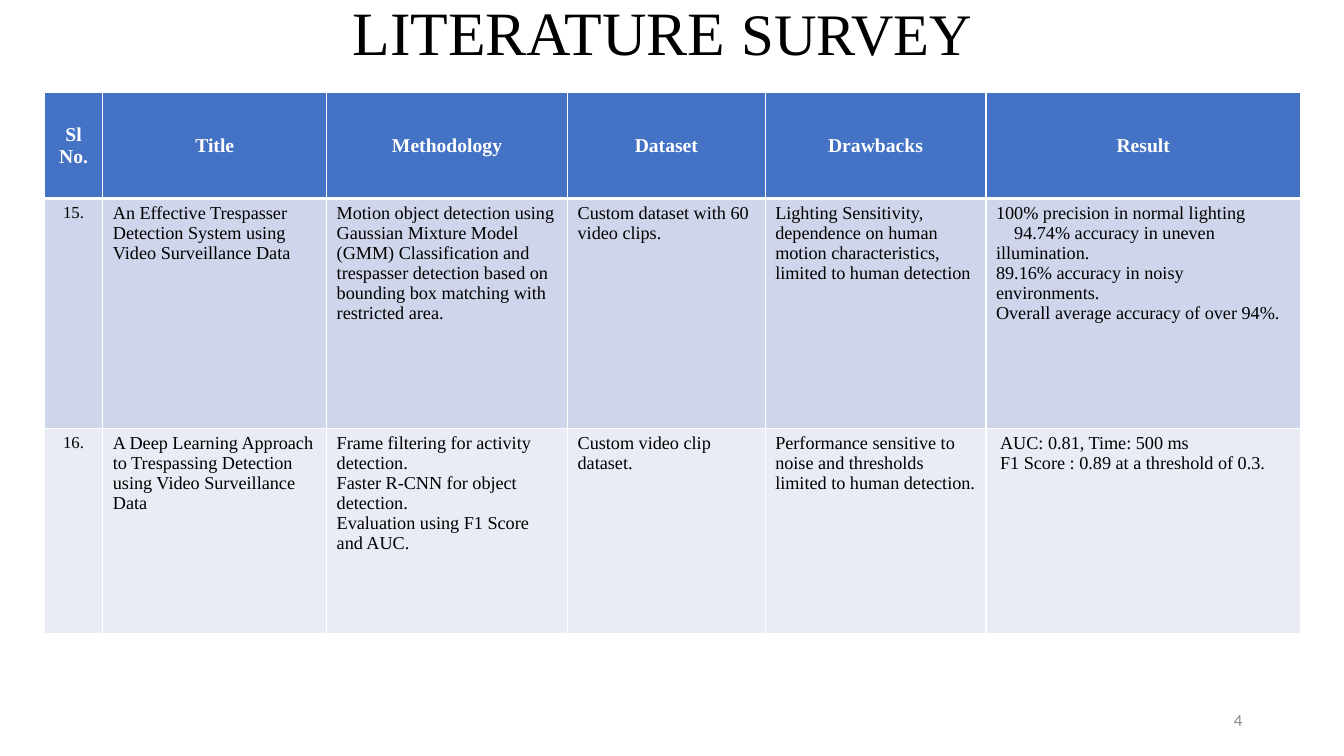
from lxml import etree
from pptx import Presentation
from pptx import util as u
from pptx.dml.color import RGBColor
from pptx.enum import text
from pptx.oxml import ns

BLACK = RGBColor(0x00, 0x00, 0x00)
WHITE = RGBColor(0xFF, 0xFF, 0xFF)
GRAY = RGBColor(0x8C, 0x8C, 0x8C)
BLUE = RGBColor(0x44, 0x72, 0xC4)
BANDS = [RGBColor(0xCF, 0xD5, 0xEA), RGBColor(0xE9, 0xEB, 0xF5)]

LEFT, CENTER, RIGHT = text.PP_ALIGN.LEFT, text.PP_ALIGN.CENTER, text.PP_ALIGN.RIGHT
TOP, MIDDLE = text.MSO_ANCHOR.TOP, text.MSO_ANCHOR.MIDDLE

COLUMNS = [0.58, 2.22, 2.39, 1.96, 2.19, 3.12]
ROWS = [1.05, 2.28, 2.04]
HEADERS = ["Sl No.", "Title", "Methodology", "Dataset", "Drawbacks", "Result"]
PAPERS = [
    [
        ["15."],
        ["An Effective Trespasser Detection System using Video Surveillance Data"],
        ["Motion object detection using Gaussian Mixture Model (GMM) Classification and "
         "trespasser detection based on bounding box matching with restricted area."],
        ["Custom dataset with 60 video clips."],
        ["Lighting Sensitivity, dependence on human motion characteristics, "
         "limited to human detection"],
        ["100% precision in normal lighting",
         "94.74% accuracy in uneven illumination.",
         "89.16% accuracy in noisy environments.",
         "Overall average accuracy of over 94%."],
    ],
    [
        ["16."],
        ["A Deep Learning Approach to Trespassing Detection",
         "using Video Surveillance Data"],
        ["Frame filtering for activity detection.",
         "Faster R-CNN for object detection.",
         "Evaluation using F1 Score and AUC."],
        ["Custom video clip dataset."],
        ["Performance sensitive to noise and thresholds limited to human detection."],
        ["AUC: 0.81, Time: 500 ms",
         "F1 Score : 0.89 at a threshold of 0.3."],
    ],
]


class SlideBuilder:
    font = "Times New Roman"

    def __init__(self, s):
        self.s = s

    def run(self, p, words, size, color=BLACK, bold=False, font=None):
        r = p.add_run()
        r.text = words
        r.font.name = font or self.font
        r.font.size = u.Pt(size)
        r.font.bold = bold
        r.font.color.rgb = color

    def text_box(self, left, top, width, height, align, runs, **style):
        sp = self.s.shapes.add_textbox(*map(u.Inches, (left, top, width, height)))
        tf = sp.text_frame
        tf.word_wrap = True
        tf.vertical_anchor = MIDDLE
        p = tf.paragraphs[0]
        p.alignment = align
        p.line_spacing = 0.9
        for words, size in runs:
            self.run(p, words, size, **style)

    def table(self, left, top, columns, rows):
        frame = self.s.shapes.add_table(
            len(rows), len(columns), u.Inches(left), u.Inches(top),
            u.Inches(sum(columns)), u.Inches(sum(rows)))
        table = frame.table
        table.horz_banding = False
        for column, width in zip(table.columns, columns):
            column.width = u.Inches(width)
        for row, height in zip(table.rows, rows):
            row.height = u.Inches(height)
        return table

    def borders(self, cell, top, bottom):
        tc_pr = cell._tc.get_or_add_tcPr()
        for side, width in (("L", 1), ("R", 1), ("T", top), ("B", bottom)):
            line = etree.SubElement(tc_pr, ns.qn("a:ln" + side), w=str(u.Pt(width)))
            fill = etree.SubElement(line, ns.qn("a:solidFill"))
            etree.SubElement(fill, ns.qn("a:srgbClr"), val=str(WHITE))

    def cell(self, cell, lines, size, fill, align=LEFT, anchor=TOP,
             top=1, bottom=1, **style):
        self.borders(cell, top, bottom)
        cell.fill.solid()
        cell.fill.fore_color.rgb = fill
        cell.vertical_anchor = anchor
        tf = cell.text_frame
        for i, words in enumerate(lines):
            p = tf.add_paragraph() if i else tf.paragraphs[0]
            p.alignment = align
            self.run(p, words, size, **style)

    def indent(self, p, margin, first=0):
        p_pr = p._p.get_or_add_pPr()
        p_pr.set("marL", str(u.Inches(margin)))
        p_pr.set("indent", str(u.Inches(first)))


def main():
    prs = Presentation()
    prs.slide_width, prs.slide_height = u.Inches(13.33), u.Inches(7.5)
    slide = SlideBuilder(prs.slides.add_slide(prs.slide_layouts[6]))

    slide.text_box(0.82, -0.37, 11.5, 1.45, CENTER,
                   [("LITERATURE ", 44), ("SURVEY", 42)])

    survey = slide.table(0.44, 0.92, COLUMNS, ROWS)
    for c, header in enumerate(HEADERS):
        slide.cell(survey.cell(0, c), [header], 14, BLUE, CENTER, MIDDLE,
                   bottom=3, color=WHITE, bold=True)
    for r, (paper, band) in enumerate(zip(PAPERS, BANDS), 1):
        for c, lines in enumerate(paper):
            slide.cell(survey.cell(r, c), lines, 13 if c else 12, band,
                       LEFT if c else CENTER, top=3 if r == 1 else 1)

    slide.indent(survey.cell(1, 5).text_frame.paragraphs[1], 0, 0.18)
    for p in survey.cell(2, 5).text_frame.paragraphs:
        slide.indent(p, 0.04)

    slide.text_box(9.42, 6.95, 3, 0.4, RIGHT, [("4", 12)], color=GRAY, font="Calibri")
    prs.save("out.pptx")


if __name__ == "__main__":
    main()
